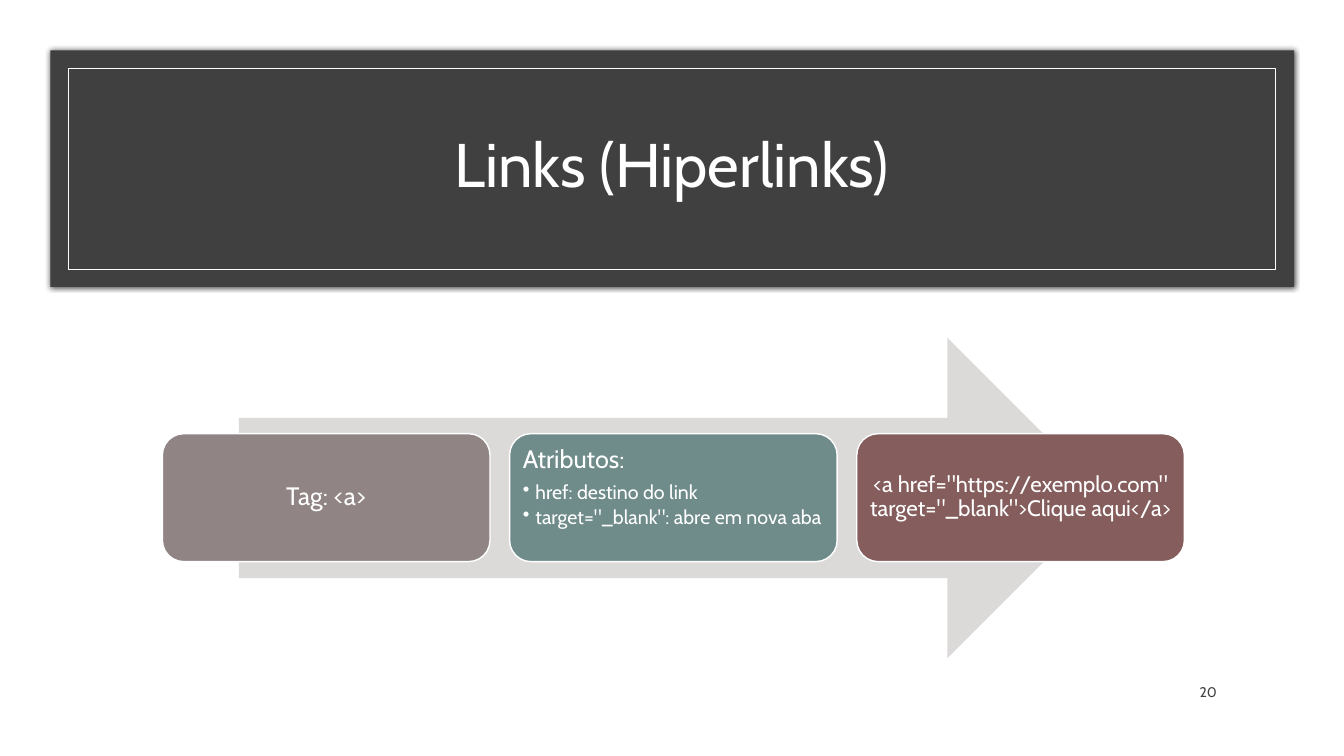
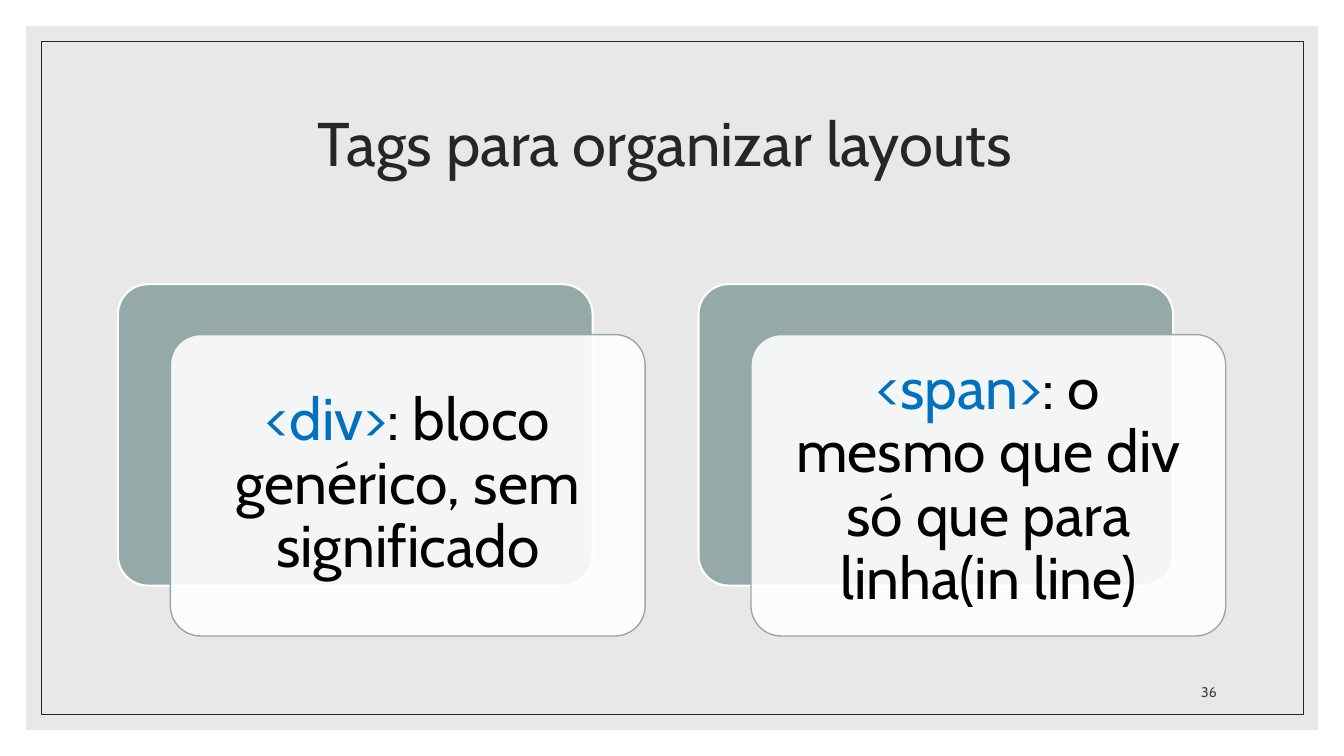
"""Builds two slides on HTML links and layout tags."""
from dataclasses import dataclass
from typing import Optional

import lxml.etree
import pptx
import pptx.dml.color
import pptx.enum.shapes
import pptx.enum.text
import pptx.oxml.ns
import pptx.shapes.autoshape
import pptx.slide
import pptx.text.text
import pptx.util

Pt = pptx.util.Pt
Color = pptx.dml.color.RGBColor
Kind = pptx.enum.shapes.MSO_SHAPE
Align = pptx.enum.text.PP_ALIGN
Anchor = pptx.enum.text.MSO_ANCHOR
Slide = pptx.slide.Slide
Shape = pptx.shapes.autoshape.Shape
qn = pptx.oxml.ns.qn

FONT = "Cabin"
WHITE = Color(0xFF, 0xFF, 0xFF)
BLACK = Color(0x00, 0x00, 0x00)
COAL = Color(0x40, 0x40, 0x40)
INK = Color(0x26, 0x26, 0x26)
PALE = Color(0xD9, 0xD9, 0xD9)
ARROW = Color(0xDC, 0xD9, 0xD9)
TAUPE = Color(0x91, 0x84, 0x85)
TEAL = Color(0x6F, 0x8C, 0x8B)
WINE = Color(0x85, 0x5D, 0x5D)
SAGE = Color(0x96, 0xA9, 0xA9)
BLUE = Color(0x00, 0x70, 0xC0)


@dataclass(frozen=True)
class Box:
    """A place and size in points."""
    left: float
    top: float
    width: float
    height: float

    def move(self, right: float, down: float = 0) -> "Box":
        """Gives the same box moved."""
        return Box(self.left + right, self.top + down, self.width, self.height)

    def args(self) -> tuple:
        """Gives the four lengths for a shape call."""
        return Pt(self.left), Pt(self.top), Pt(self.width), Pt(self.height)


@dataclass(frozen=True)
class Style:
    """The fill and outline of a shape."""
    fill: Optional[Color] = None
    line: Optional[Color] = None
    weight: float = 0.5
    alpha: int = 100


@dataclass(frozen=True)
class Line:
    """One paragraph, as pairs of text and colour."""
    runs: tuple
    size: float
    align: Align = Align.CENTER
    space: float = 0.9
    after: float = 0
    dot: bool = False


@dataclass(frozen=True)
class Step:
    """One card on the arrow."""
    fill: Color
    lines: tuple
    anchor: Anchor = Anchor.MIDDLE


@dataclass(frozen=True)
class Term:
    """A tag and its meaning."""
    tag: str
    sense: str


TITLE = Box(84, 66, 792, 108)
NUMBER = Box(810, 475.2, 66.2, 28.8)

STEPS = (
    Step(TAUPE, (Line((("Tag: <a>", WHITE),), 18),)),
    Step(TEAL, (
        Line((("Atributos:", WHITE),), 18, Align.LEFT, after=6.3),
        Line((("href: destino do link", WHITE),), 14, Align.LEFT, after=2.1, dot=True),
        Line((('target="_blank": abre em nova aba', WHITE),), 14, Align.LEFT, dot=True),
    ), Anchor.TOP),
    Step(WINE, (Line((('<a href="https://exemplo.com" target="_blank">Clique aqui</a>',
                       WHITE),), 16),)),
)

TERMS = (
    Term("<div>", ": bloco genérico, sem significado"),
    Term("<span>", ": o mesmo que div só que para linha(in line)"),
)


def draw(slide: Slide, kind: Kind, box: Box, style: Style) -> Shape:
    """Adds a preset shape without a shadow."""
    shape = slide.shapes.add_shape(kind, *box.args())
    shape.shadow.inherit = False
    if style.fill is None:
        shape.fill.background()
    else:
        shape.fill.solid()
        shape.fill.fore_color.rgb = style.fill
        if style.alpha < 100:
            tint = shape._element.spPr.find(qn("a:solidFill"))[0]
            lxml.etree.SubElement(tint, qn("a:alpha"), val=str(style.alpha * 1000))
    if style.line is None:
        shape.line.fill.background()
    else:
        shape.line.color.rgb = style.line
        shape.line.width = Pt(style.weight)
    return shape


def glow(shape: Shape) -> None:
    """Adds a soft black shadow on all sides."""
    effects = shape._element.spPr.find(qn("a:effectLst"))
    shade = lxml.etree.SubElement(effects, qn("a:outerShdw"), blurRad=str(Pt(4)),
                                  dist="0", dir="0", algn="ctr", rotWithShape="0")
    tint = lxml.etree.SubElement(shade, qn("a:srgbClr"), val=str(BLACK))
    lxml.etree.SubElement(tint, qn("a:alpha"), val="66000")


def bullet(para: pptx.text.text._Paragraph) -> None:
    """Gives a paragraph a hanging dot."""
    props = para._p.get_or_add_pPr()
    props.set("marL", str(Pt(9)))
    props.set("indent", str(-Pt(9)))
    lxml.etree.SubElement(props, qn("a:buChar"), char="•")


def write(shape: Shape, lines: tuple, anchor: Anchor = Anchor.MIDDLE,
          inset: Optional[float] = None) -> None:
    """Fills a shape with paragraphs."""
    frame = shape.text_frame
    frame.word_wrap = True
    frame.vertical_anchor = anchor
    if inset is not None:
        frame.margin_left = frame.margin_right = Pt(inset)
        frame.margin_top = frame.margin_bottom = Pt(inset)
    for index, line in enumerate(lines):
        para = frame.add_paragraph() if index else frame.paragraphs[0]
        para.alignment = line.align
        para.line_spacing = line.space
        para.space_after = Pt(line.after)
        if line.dot:
            bullet(para)
        para.font.name = FONT
        para.font.size = Pt(line.size)
        same = len({tint for _, tint in line.runs}) == 1
        if same:
            para.font.color.rgb = line.runs[0][1]
        for text, tint in line.runs:
            run = para.add_run()
            run.text = text
            if not same:
                run.font.color.rgb = tint


def label(slide: Slide, box: Box, line: Line, anchor: Anchor = Anchor.MIDDLE) -> None:
    """Adds a text box with one paragraph."""
    write(slide.shapes.add_textbox(*box.args()), (line,), anchor)


def title(slide: Slide, text: str, tint: Color, box: Box) -> None:
    """Adds the slide title."""
    label(slide, box, Line(((text, tint),), 44))


def number(slide: Slide, page: int) -> None:
    """Adds the page number."""
    label(slide, NUMBER, Line(((str(page), COAL),), 10, Align.RIGHT, 1), Anchor.BOTTOM)


def links(slide: Slide) -> None:
    """Draws the slide on links."""
    glow(draw(slide, Kind.RECTANGLE, Box(36, 36, 888.5, 169), Style(COAL)))
    draw(slide, Kind.RECTANGLE, Box(48.5, 49, 862.5, 143.5), Style(line=WHITE))
    title(slide, "Links (Hiperlinks)", WHITE, TITLE)
    draw(slide, Kind.RIGHT_ARROW, Box(170.6, 241.2, 620.6, 229), Style(ARROW))
    card = Box(116, 309.8, 234, 91.4)
    for index, step in enumerate(STEPS):
        shape = draw(slide, Kind.ROUNDED_RECTANGLE, card.move(index * 248),
                     Style(step.fill, WHITE, 1))
        write(shape, step.lines, step.anchor, 5)
    number(slide, 20)


def layouts(slide: Slide) -> None:
    """Draws the slide on layout tags."""
    draw(slide, Kind.RECTANGLE, Box(18.7, 18.7, 923, 502.6), Style(PALE, alpha=60))
    draw(slide, Kind.RECTANGLE, Box(29.5, 29.5, 901.5, 481), Style(line=INK))
    title(slide, "Tags para organizar layouts ", INK, TITLE.move(0, -15.6))
    back = Box(84.2, 203, 339.1, 215.3)
    for index, term in enumerate(TERMS):
        place = back.move(index * 414.7)
        rear = draw(slide, Kind.ROUNDED_RECTANGLE, place, Style(SAGE, WHITE, 1.5))
        front = draw(slide, Kind.ROUNDED_RECTANGLE, place.move(37.5, 36),
                     Style(WHITE, SAGE, 1, 90))
        for shape in (rear, front):
            shape.adjustments[0] = 0.1
        write(front, (Line(((term.tag, BLUE), (term.sense, BLACK)), 42),), inset=12.5)
    number(slide, 36)


def main() -> None:
    """Builds and saves the deck."""
    deck = pptx.Presentation()
    deck.slide_width, deck.slide_height = Pt(960), Pt(540)
    for build in (links, layouts):
        build(deck.slides.add_slide(deck.slide_layouts[6]))
    deck.save("out.pptx")


if __name__ == "__main__":
    main()
